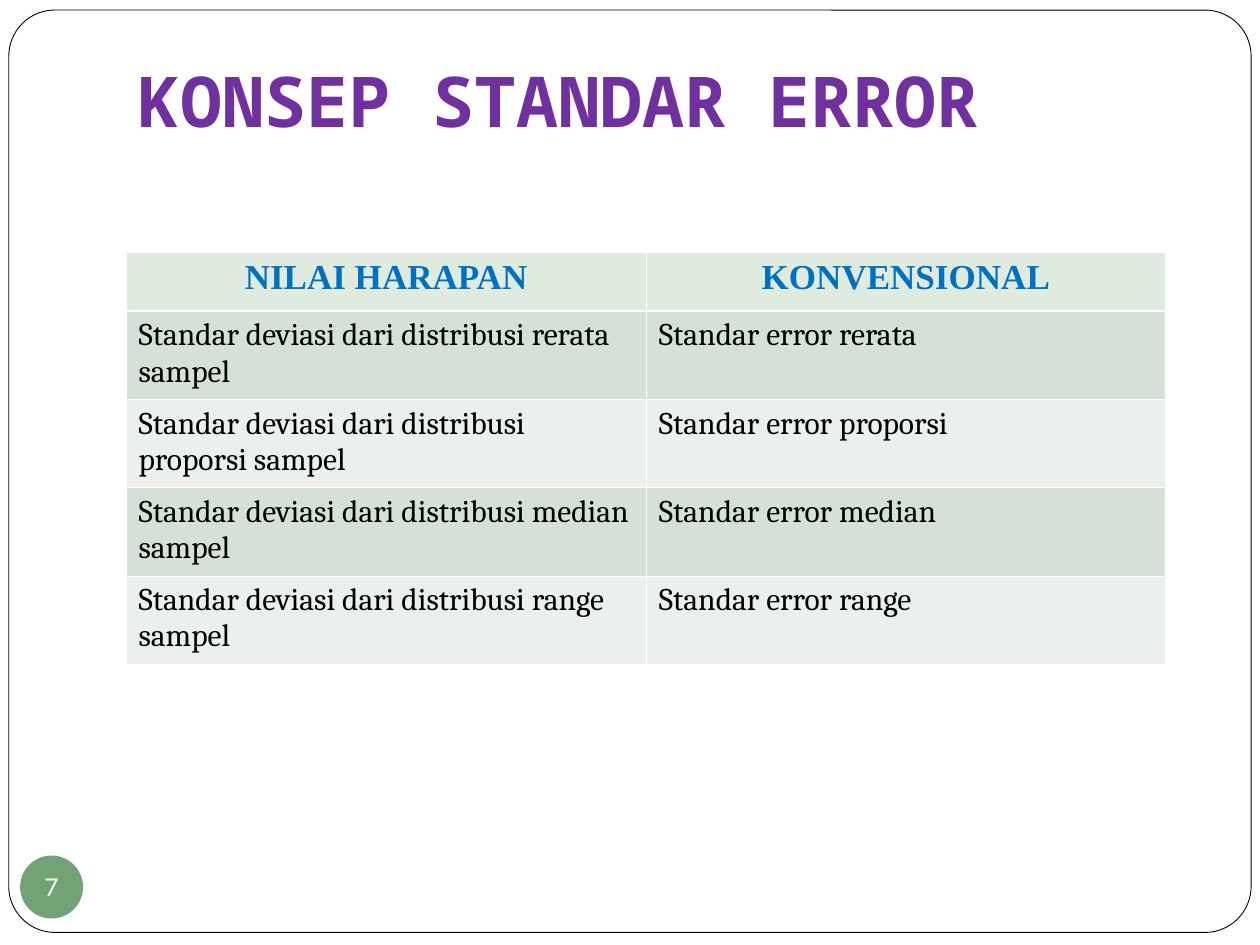
"""Build the slide on the concept of standard error."""
from lxml.etree import SubElement as Sub
from pptx import Presentation
from pptx.dml.color import RGBColor as Rgb
from pptx.enum.shapes import MSO_SHAPE as Kind
from pptx.enum.text import MSO_ANCHOR as Anchor, PP_ALIGN as Align
from pptx.oxml.ns import qn
from pptx.util import Inches, Pt

COLORS = {
    "white": "FFFFFF", "black": "000000", "badge": "72A376", "title": "7030A0",
    "head": "0070C0", "top": "DFEBDF", "dark": "D5E0D6", "light": "EBF0EC",
}
HEADS = ["NILAI HARAPAN", "KONVENSIONAL"]
TERMS = ["rerata", "proporsi", "median", "range"]


def color(name):
    return Rgb.from_string(COLORS[name])


def write(frame, text, font, size, tint, bold=False, align=Align.LEFT):
    para = frame.paragraphs[0]
    para.text = text
    para.alignment = align
    para.font.name = font
    para.font.size = Pt(size)
    para.font.bold = bold
    para.font.color.rgb = color(tint)


def add_shape(slide, kind, box, fill):
    shape = slide.shapes.add_shape(kind, *map(Inches, box))
    shape.shadow.inherit = False
    shape.fill.solid()
    shape.fill.fore_color.rgb = color(fill)
    return shape


def add_frame(slide):
    frame = add_shape(slide, Kind.ROUNDED_RECTANGLE, (0.07, 0.08, 9.86, 7.32), "white")
    frame.adjustments[0] = 0.05
    frame.line.color.rgb = color("black")
    frame.line.width = Pt(0.5)


def add_badge(slide, number):
    badge = add_shape(slide, Kind.OVAL, (0.16, 6.79, 0.5, 0.5), "badge")
    badge.line.fill.background()
    text = badge.text_frame
    text.margin_left = text.margin_right = text.margin_top = text.margin_bottom = 0
    text.word_wrap = False
    text.vertical_anchor = Anchor.MIDDLE
    write(text, number, "Lato", 14, "white", align=Align.CENTER)


def add_title(slide, title):
    box = slide.shapes.add_textbox(Inches(1), Inches(0.17), Inches(8.5), Inches(1.05))
    text = box.text_frame
    text.word_wrap = True
    text.vertical_anchor = Anchor.BOTTOM
    text.margin_bottom = Inches(0.1)
    write(text, title, "Noto Sans Mono", 40, "title", bold=True)


def set_edge(cell, side, width):
    props = cell._tc.get_or_add_tcPr()
    line = Sub(props, qn(f"a:ln{side}"), w=str(Pt(width)))
    fill = Sub(line, qn("a:solidFill"))
    Sub(fill, qn("a:srgbClr"), val=COLORS["white"])


def style_cell(cell, row):
    thick = {0: "B", 1: "T"}.get(row)
    for side in "LRTB":
        set_edge(cell, side, 1.47 if side == thick else 0.45)
    cell.fill.solid()
    band = "dark" if row % 2 else "light"
    cell.fill.fore_color.rgb = color(band if row else "top")


def add_table(slide, rows):
    box = map(Inches, (1, 2, 8.25, 3.27))
    table = slide.shapes.add_table(len(rows), len(HEADS), *box).table
    for col, width in zip(table.columns, (4.13, 4.12)):
        col.width = Inches(width)
    for r, texts in enumerate(rows):
        table.rows[r].height = Inches(0.7 if r else 0.47)
        for c, text in enumerate(texts):
            cell = table.cell(r, c)
            style_cell(cell, r)
            if r:
                write(cell.text_frame, text, "Cambria", 18, "black")
            else:
                write(cell.text_frame, text, "Times New Roman", 20, "head", True, Align.CENTER)


def main():
    deck = Presentation()
    deck.slide_width, deck.slide_height = Inches(10), Inches(7.5)
    slide = deck.slides.add_slide(deck.slide_layouts[6])
    add_frame(slide)
    add_badge(slide, "7")
    add_title(slide, "KONSEP STANDAR ERROR")
    body = [(f"Standar deviasi dari distribusi {t} sampel", f"Standar error {t}") for t in TERMS]
    add_table(slide, [HEADS, *body])
    deck.save("out.pptx")


if __name__ == "__main__":
    main()
